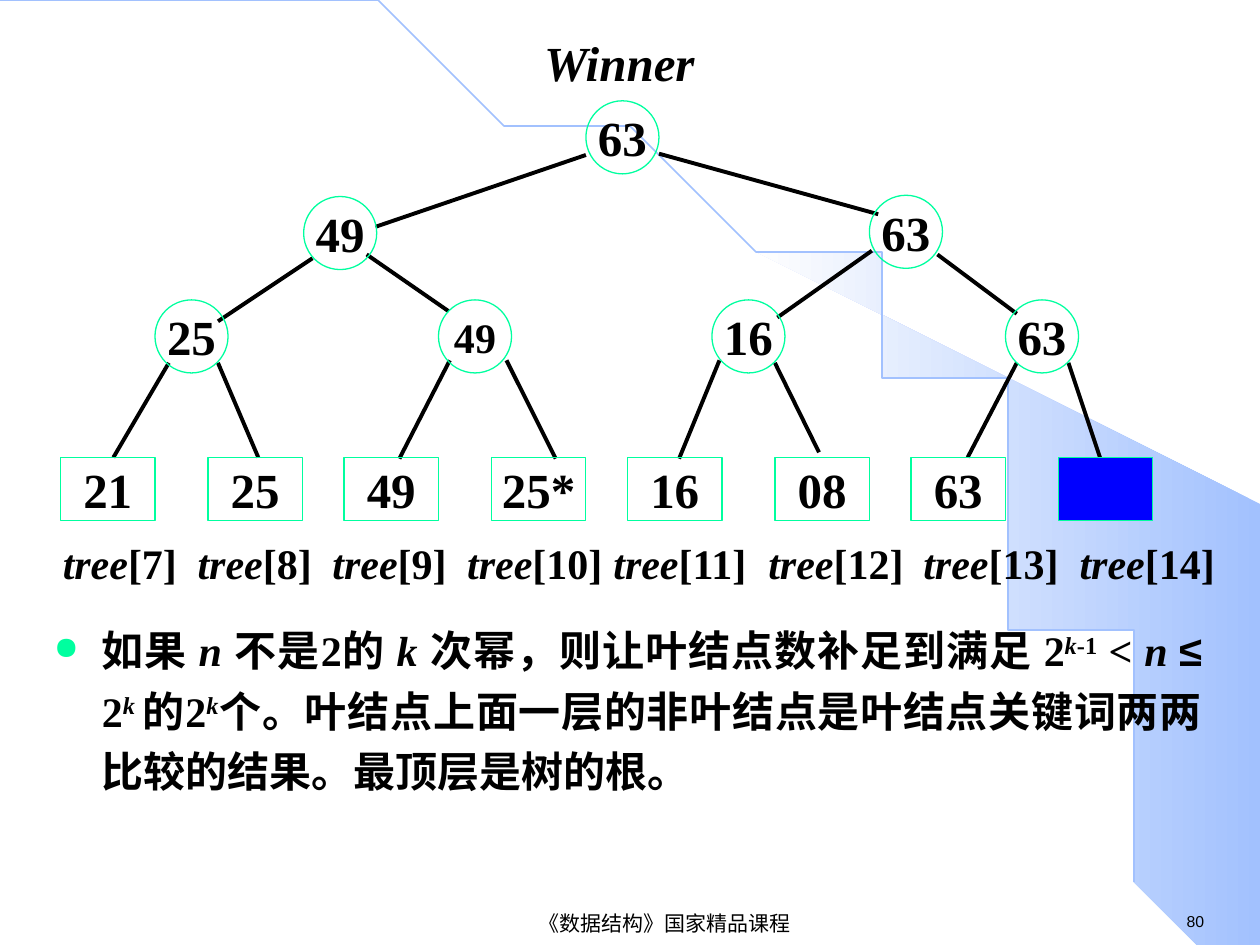
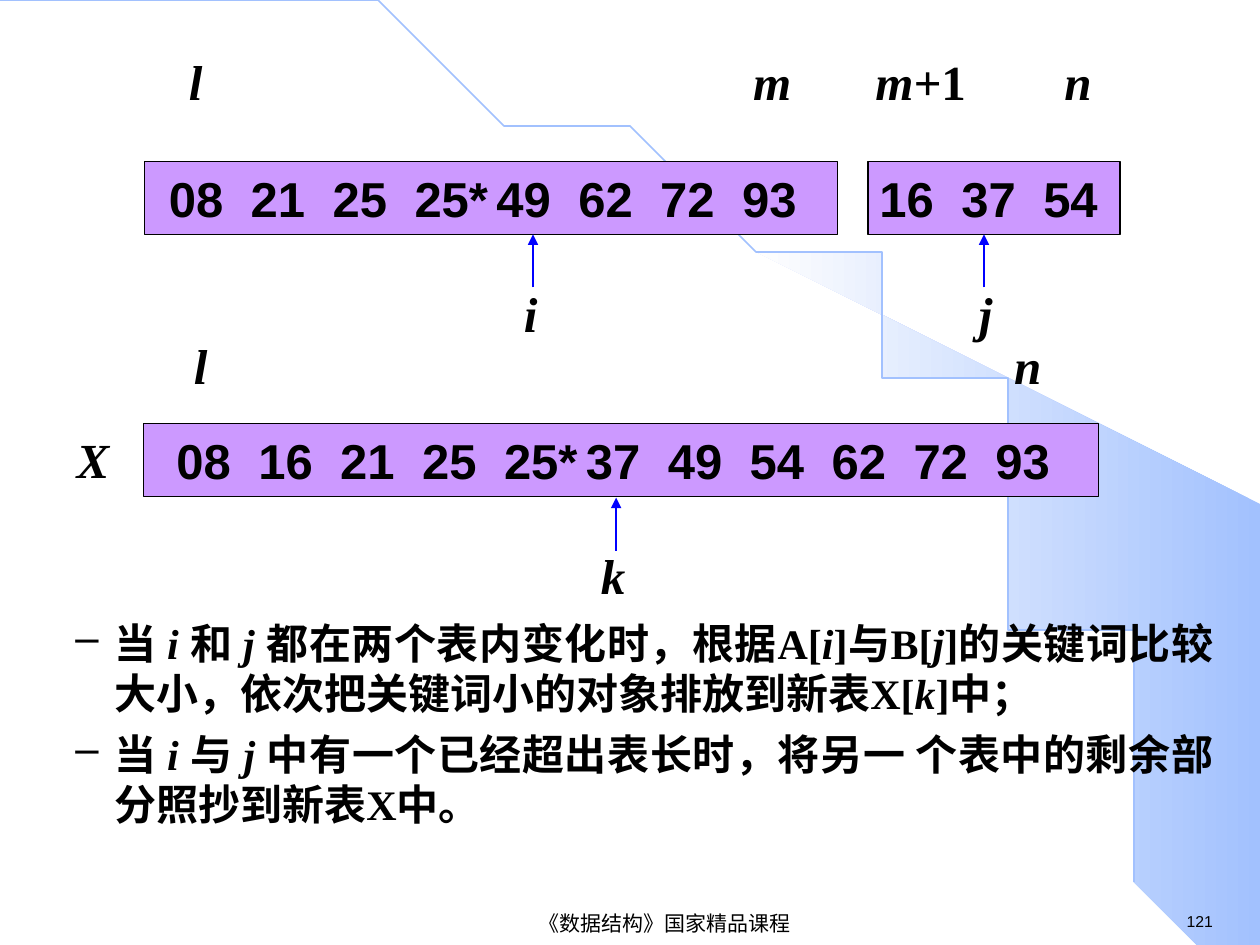
from itertools import accumulate, groupby
from math import asin, cos, pi, sin

from lxml import etree
from pptx import Presentation, util as u
from pptx.dml.color import RGBColor
from pptx.enum import shapes as sh, text as tx
from pptx.oxml.ns import qn

WIDE, HIGH = 10, 7.5
INK, SKY, PALE = "000000", "A2C1FE", "FEFEFE"
MINT, BLUE, LILAC = "00FF9F", "0000FF", "CC99FF"
SERIF, SANS = "Times New Roman", "Arial"
LEFT, MID, JUST = tx.PP_ALIGN.LEFT, tx.PP_ALIGN.CENTER, tx.PP_ALIGN.JUSTIFY
FOOT = "《数据结构》国家精品课程"

# In all text: _ switches italic, ^ switches superscript, ~ switches to SANS.

# Tree slide: centre x, centre y, key, size
NODES = [
    (4.94, 1.09, "63", 28),
    (2.7, 1.85, "49", 28), (7.19, 1.84, "63", 28),
    (1.52, 2.67, "25", 28), (3.77, 2.67, "49", 24),
    (5.94, 2.67, "16", 28), (8.27, 2.67, "63", 28),
]
EDGES = [
    (4.65, 1.23, 2.98, 1.8), (5.23, 1.22, 6.97, 1.7),
    (2.48, 2.05, 1.73, 2.55), (2.91, 2.02, 3.56, 2.47),
    (6.92, 1.99, 6.17, 2.52), (7.44, 2.02, 8.07, 2.49),
    (1.34, 2.88, 0.9, 3.63), (1.73, 2.88, 2.05, 3.63),
    (3.57, 2.86, 3.17, 3.64), (4.02, 2.86, 4.41, 3.64),
    (5.71, 2.86, 5.39, 3.64), (6.15, 2.88, 6.5, 3.59),
    (8.07, 2.88, 7.68, 3.63), (8.48, 2.88, 8.73, 3.63),
]
LEAVES = ["21", "25", "49", "25*", "16", "08", "63", ""]
FIRST = 7
STEPS = [1.07, 1.07, 1.07, 1.16, 1.23, 1.23, 1.24]
RULE = ("如果 _n _不是2的 _k _次幂，则让叶结点数补足到满足 2^_k_-1^ < _n _~≤~ 2^_k _^的2^_k_^"
        "个。叶结点上面一层的非叶结点是叶结点关键词两两比较的结果。最顶层是树的根。")

# Merge slide: left, top, width, start of first key, keys
PITCH = 0.65
LISTS = [
    (1.15, 1.28, 5.5, 1.34, "08 21 25 25* 49 62 72 93"),
    (6.89, 1.28, 2, 6.98, "16 37 54"),
    (1.14, 3.36, 7.58, 1.4, "08 16 21 25 25* 37 49 54 62 72 93"),
]
MARKS = [
    (1.5, 0.36, "_l_"), (5.98, 0.36, "_m_"), (6.95, 0.36, "_m+_1"), (8.45, 0.36, "_n_"),
    (4.16, 2.2, "_i_"), (7.77, 2.2, "_j_"),
    (1.54, 2.61, "_l_"), (8.05, 2.61, "_n_"),
    (0.61, 3.36, "_X_"), (4.77, 4.28, "_k_"),
]
ARROWS = [(4.23, 1.86), (7.81, 1.86), (4.89, 3.95)]
STEM = 0.42
NOTES = [
    "当 _i _和 _j _都在两个表内变化时，根据A[_i_]与B[_j_]的关键词比较大小，"
    "依次把关键词小的对象排放到新表X[_k_]中；",
    "当 _i _与 _j _中有一个已经超出表长时，将另一 个表中的剩余部分照抄到新表X中。",
]


def rgb(code):
    return RGBColor.from_string(code)


def inch(*nums):
    return [u.Inches(n) for n in nums]


def add(node, tag, **attrs):
    kid = etree.SubElement(node, qn(tag))
    for key, val in attrs.items():
        kid.set(key, str(val))
    return kid


def runs(line):
    """Split marked text into (piece, set of active marks)."""
    on, parts = frozenset(), []
    for char in line:
        if char in "_^~":
            on = on ^ {char}
        else:
            parts.append((char, on))
    for state, group in groupby(parts, key=lambda part: part[1]):
        yield "".join(char for char, _ in group), state


def write(shape, lines, size=28, font=SERIF, bold=True, align=LEFT, wrap=True, mid=False,
          pad=(0.1, 0.05), gap=0, lead=None, bullet=None, tabs=()):
    """Fill a shape with marked text; bullet is (sign, colour, percent, margin, hang)."""
    frame = shape.text_frame
    frame.word_wrap = wrap
    frame.vertical_anchor = tx.MSO_ANCHOR.MIDDLE if mid else tx.MSO_ANCHOR.TOP
    frame.margin_left = frame.margin_right = u.Inches(pad[0])
    frame.margin_top = frame.margin_bottom = u.Inches(pad[1])
    for num, line in enumerate([lines] if isinstance(lines, str) else lines):
        para = frame.add_paragraph() if num else frame.paragraphs[0]
        para.alignment = align
        if num and gap:
            para.space_before = u.Pt(gap)
        if lead:
            para.line_spacing = lead
        props = para._p.get_or_add_pPr()
        if bullet:
            sign, tint, share, margin, hang = bullet
            props.set("marL", str(u.Inches(margin)))
            props.set("indent", str(-u.Inches(hang)))
            add(add(props, "a:buClr"), "a:srgbClr", val=tint)
            add(props, "a:buSzPct", val=share * 1000)
            add(props, "a:buChar", char=sign)
        if tabs:
            stops = add(props, "a:tabLst")
            for stop in tabs:
                add(stops, "a:tab", pos=u.Inches(stop), algn="l")
        for piece, state in runs(line):
            run = para.add_run()
            run.text = piece
            run.font.size, run.font.bold = u.Pt(size), bold
            run.font.italic = "_" in state
            run.font.name = SANS if "~" in state else font
            run.font.color.rgb = rgb(INK)
            if "^" in state:
                run._r.get_or_add_rPr().set("baseline", "30000")


def label(slide, box, lines, **form):
    write(slide.shapes.add_textbox(*inch(*box)), lines, **form)


def paint(shape, fill=None, line=None, width=0.75):
    shape.shadow.inherit = False
    if fill:
        shape.fill.solid()
        shape.fill.fore_color.rgb = rgb(fill)
    else:
        shape.fill.background()
    if line:
        shape.line.color.rgb = rgb(line)
        shape.line.width = u.Pt(width)
    else:
        shape.line.fill.background()


def block(slide, kind, box, fill=None, line=MINT):
    shape = slide.shapes.add_shape(kind, *inch(*box))
    paint(shape, fill, line)
    return shape


def stroke(slide, ends, color=INK, width=2.25, arrow=False):
    line = slide.shapes.add_connector(sh.MSO_CONNECTOR.STRAIGHT, *inch(*ends))
    line.line.color.rgb = rgb(color)
    line.line.width = u.Pt(width)
    props = line._element.spPr
    if arrow:
        add(props.find(qn("a:ln")), "a:tailEnd", type="triangle")
    add(props, "a:effectLst")


def outline(slide, points, close):
    pen = slide.shapes.build_freeform(*points[0], scale=u.Inches(1))
    pen.add_line_segments(points[1:], close=close)
    return pen.convert_to_shape()


def curve(start, steps=60):
    """Points of the quarter ellipse from angle start down to the slide's foot."""
    wide, high = 0.92 * WIDE, HIGH
    turns = [start + (pi / 2 - start) * n / steps for n in range(steps + 1)]
    return [(wide * sin(t), high * (1 - cos(t))) for t in turns]


def base(deck, page):
    """New slide with the swoosh, the course name and the page number."""
    slide = deck.slides.add_slide(deck.slide_layouts[6])
    corner = [(WIDE, HIGH), (WIDE, 4.23)]
    wedge = outline(slide, curve(asin(0.64)) + corner, True)
    paint(wedge)
    wedge.fill.gradient()
    wedge.fill.gradient_angle = 180
    for stop, tint in zip(wedge.fill.gradient_stops, (SKY, PALE)):
        stop.color.rgb = rgb(tint)
    paint(outline(slide, curve(0), False), line=SKY, width=1)
    label(slide, (9.32, 7.19, 0.66, 0.25), page, size=9, font=SANS, bold=False)
    label(slide, (2.4, 7.21, 5.75, 0.24), FOOT, size=12, font=SANS, bold=False,
          align=MID, mid=True)
    return slide


def tree(deck):
    slide = base(deck, "80")
    label(slide, (0.33, 4.83, 9.31, 2.15), RULE, size=24, align=JUST, lead=1.2,
          bullet=("●", MINT, 75, 0.38, 0.38))
    for ends in EDGES:
        stroke(slide, ends)
    label(slide, (4.22, 0.21, 1.5, 0.57), "_Winner_")
    side = 0.58
    center = dict(align=MID, mid=True, wrap=False, pad=(0, 0.05))
    for x, y, key, size in NODES:
        box = (x - side / 2, y - side / 2, side, side)
        write(block(slide, sh.MSO_SHAPE.OVAL, box), key, size=size, **center)
    for num, key in enumerate(LEAVES):
        pair, right = divmod(num, 2)
        box = (0.48 + 2.25 * pair + 1.17 * right, 3.63, 0.75, 0.5)
        leaf = block(slide, sh.MSO_SHAPE.RECTANGLE, box, fill=None if key else BLUE)
        if key:
            write(leaf, key, **center)
    names = [f"_tree_[{FIRST + num}]" for num in range(len(LEAVES))]
    label(slide, (0.4, 4.22, 9.5, 0.5), "\t".join(names), size=24,
          tabs=list(accumulate(STEPS)))


def merge(deck):
    slide = base(deck, "121")
    for left, top, wide, start, keys in LISTS:
        bar = block(slide, sh.MSO_SHAPE.RECTANGLE, (left, top, wide, 0.58), LILAC, INK)
        keys = keys.split()
        write(bar, "\t".join(keys), font=SANS, mid=True, pad=(start - left, 0.05),
              tabs=[PITCH * num for num in range(1, len(keys))])
        bar.text_frame.margin_right = 0
    for x, y in ARROWS:
        stroke(slide, (x, y + STEM, x, y), BLUE, 1.5, arrow=True)
    for x, y, mark in MARKS:
        label(slide, (x - 0.1, y, 1, 0.57), mark)
    label(slide, (0, 4.85, 9.73, 1.93), NOTES, size=24, align=JUST, gap=6,
          bullet=("–", INK, 100, 0.81, 0.31))


def main():
    deck = Presentation()
    deck.slide_width, deck.slide_height = inch(WIDE, HIGH)
    tree(deck)
    merge(deck)
    deck.save("out.pptx")


if __name__ == "__main__":
    main()
